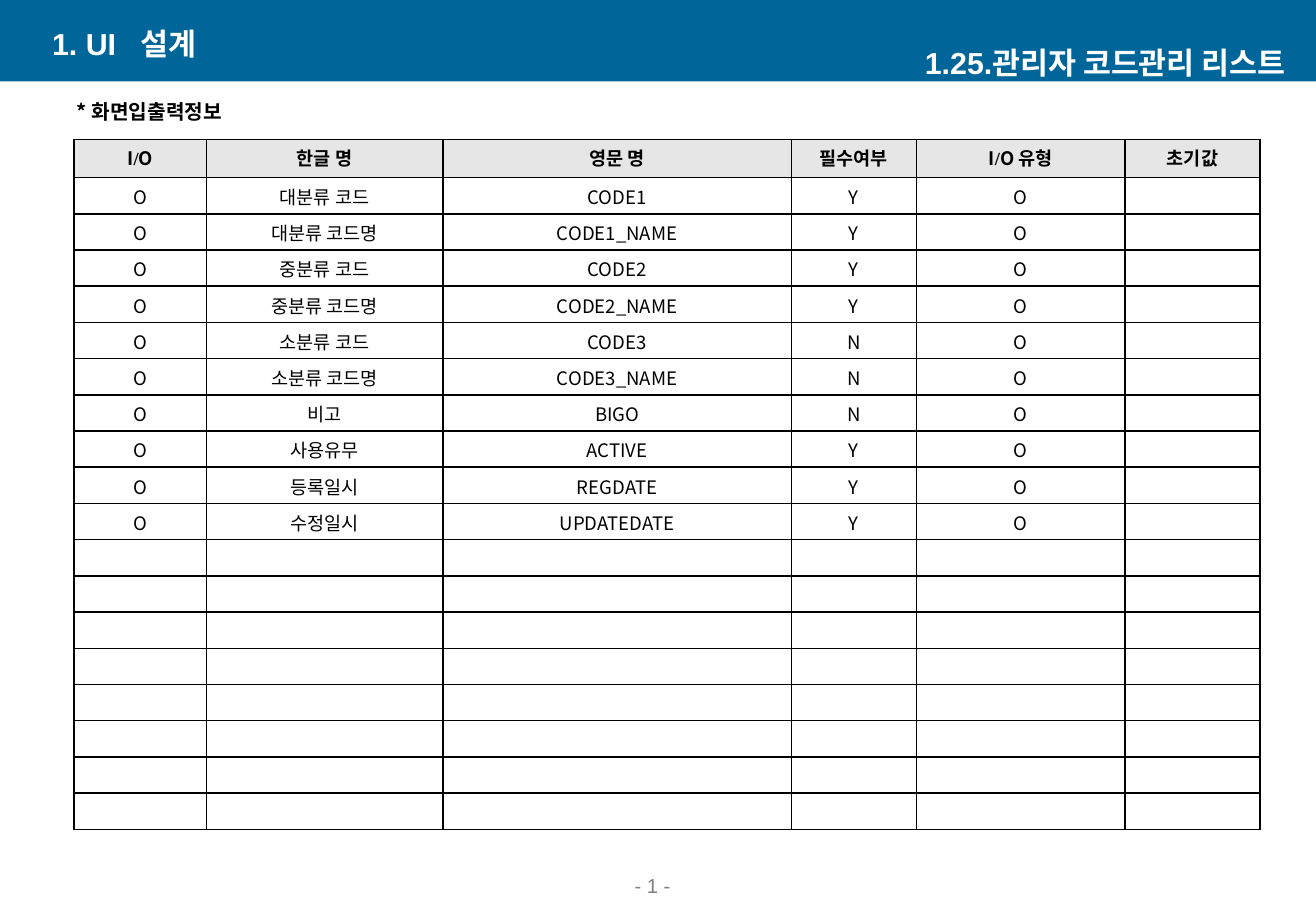
from dataclasses import dataclass
from lxml.etree import SubElement as Sub
from pptx import Presentation
from pptx.dml.color import RGBColor as Rgb
from pptx.enum.shapes import MSO_SHAPE as Shape
from pptx.enum.text import MSO_ANCHOR as Anchor, PP_ALIGN as Align
from pptx.oxml.ns import qn
from pptx.util import Inches, Pt


@dataclass(frozen=True)
class Theme:
    bar: str = "006699"
    head: str = "E6E6E6"
    ink: str = "000000"
    light: str = "FFFFFF"
    gray: str = "808080"
    sans: str = "Arial"
    hangul: str = "Noto Sans CJK KR"
    serif: str = "Times New Roman"
    title: int = 18
    label: int = 12
    cell: int = 11
    lead: int = 14
    line: int = 1


@dataclass(frozen=True)
class Box:
    x: int
    y: int
    w: int
    h: int

    def inner(self, x, y, w, h):
        return Box(int(self.x + self.w * x / 100), int(self.y + self.h * y / 100),
                   int(self.w * w / 100), int(self.h * h / 100))

    def rect(self):
        return self.x, self.y, self.w, self.h


T = Theme()
HEADS = ["I/O", "한글 명", "영문 명", "필수여부", "I/O 유형", "초기값"]
FIELDS = [
    ("대분류 코드", "CODE1", "Y"),
    ("대분류 코드명", "CODE1_NAME", "Y"),
    ("중분류 코드", "CODE2", "Y"),
    ("중분류 코드명", "CODE2_NAME", "Y"),
    ("소분류 코드", "CODE3", "N"),
    ("소분류 코드명", "CODE3_NAME", "N"),
    ("비고", "BIGO", "N"),
    ("사용유무", "ACTIVE", "Y"),
    ("등록일시", "REGDATE", "Y"),
    ("수정일시", "UPDATEDATE", "Y"),
]
SPARE = 8
COLS = [1.09, 1.95, 2.87, 1.03, 1.72, 1.11]


def style(run, size, color, face, bold=False):
    font = run.font
    font.size, font.bold, font.name = Pt(size), bold, face
    font.color.rgb = Rgb.from_string(color)
    Sub(run._r.get_or_add_rPr(), qn("a:ea"), typeface=T.hangul)


def label(slide, box, text, size, color, face, bold=True,
          align=Align.LEFT, anchor=Anchor.MIDDLE):
    frame = slide.shapes.add_textbox(*box.rect()).text_frame
    frame.word_wrap, frame.vertical_anchor = True, anchor
    frame.text = text
    para = frame.paragraphs[0]
    para.alignment = align
    for run in para.runs:
        style(run, size, color, face, bold)
    return frame


def header(slide, box):
    bar = slide.shapes.add_shape(Shape.RECTANGLE, *box.rect())
    bar.shadow.inherit = False
    bar.fill.solid()
    bar.fill.fore_color.rgb = Rgb.from_string(T.bar)
    bar.line.fill.background()
    left = label(slide, box.inner(3.05, 28.36, 40.44, 49.25), "1. UI\t설계",
                 T.title, T.light, T.sans)
    tabs = Sub(left.paragraphs[0]._p.get_or_add_pPr(), qn("a:tabLst"))
    Sub(tabs, qn("a:tab"), pos=str(Inches(0.73)), algn="l")
    right = label(slide, box.inner(59.56, 52.24, 40.44, 49.25),
                  "1.25.관리자 코드관리 리스트", T.title, T.light, T.sans,
                  align=Align.RIGHT)
    right.margin_right = Inches(0.25)


def border(cell):
    props = cell._tc.get_or_add_tcPr()
    for side in "LRTB":
        line = Sub(props, qn(f"a:ln{side}"), w=str(Pt(T.line)))
        Sub(Sub(line, qn("a:solidFill")), qn("a:srgbClr"), val=T.ink)


def write(cell, text, head):
    border(cell)
    side, top = (0.07, 0) if head else (0.01, 0.01)
    cell.margin_left = cell.margin_right = Inches(side)
    cell.margin_top, cell.margin_bottom = Inches(top), 0
    cell.vertical_anchor = Anchor.MIDDLE
    para = cell.text_frame.paragraphs[0]
    para.alignment = Align.CENTER
    if head:
        para.line_spacing = Pt(T.lead)
        cell.fill.solid()
        cell.fill.fore_color.rgb = Rgb.from_string(T.head)
    else:
        cell.fill.background()
    if not text:
        Sub(para._p, qn("a:endParaRPr"), sz=str(T.cell * 100))
        return
    first, slash, rest = text.partition("/")
    for piece in filter(None, (first, slash, rest)):
        run = para.add_run()
        run.text = piece
        style(run, T.cell, T.ink, T.serif if piece == "/" else T.hangul, head)


def grid(slide, box):
    rows = [HEADS] + [["O", *field, "O", ""] for field in FIELDS]
    rows += [[""] * len(HEADS)] * SPARE
    table = slide.shapes.add_table(len(rows), len(COLS), *box.rect()).table
    table.first_row = table.horz_banding = False
    for col, share in zip(table.columns, COLS):
        col.width = int(box.w * share / sum(COLS))
    top = int(box.h * 0.055)
    for r, row in enumerate(rows):
        table.rows[r].height = (box.h - top) // (len(rows) - 1) if r else top
        for c, text in enumerate(row):
            write(table.cell(r, c), text, r == 0)


def body(slide, box):
    grid(slide, box.inner(1.41, 6.27, 98.59, 93.73))
    label(slide, box.inner(0, 0, 15.35, 4.79), "* 화면입출력정보",
          T.label, T.ink, T.hangul, align=Align.CENTER)


def footer(slide, box):
    label(slide, box, "- 1 -", T.label, T.gray, T.sans, False,
          Align.CENTER, Anchor.BOTTOM)


def main():
    deck = Presentation()
    deck.slide_width, deck.slide_height = Inches(10.83), Inches(7.5)
    slide = deck.slides.add_slide(deck.slide_layouts[6])
    page = Box(0, 0, deck.slide_width, deck.slide_height)
    header(slide, page.inner(0, 0, 100, 8.93))
    body(slide, page.inner(4.34, 10.27, 91.41, 80.79))
    footer(slide, page.inner(39.15, 95.07, 20.87, 4.13))
    deck.save("out.pptx")


if __name__ == "__main__":
    main()
